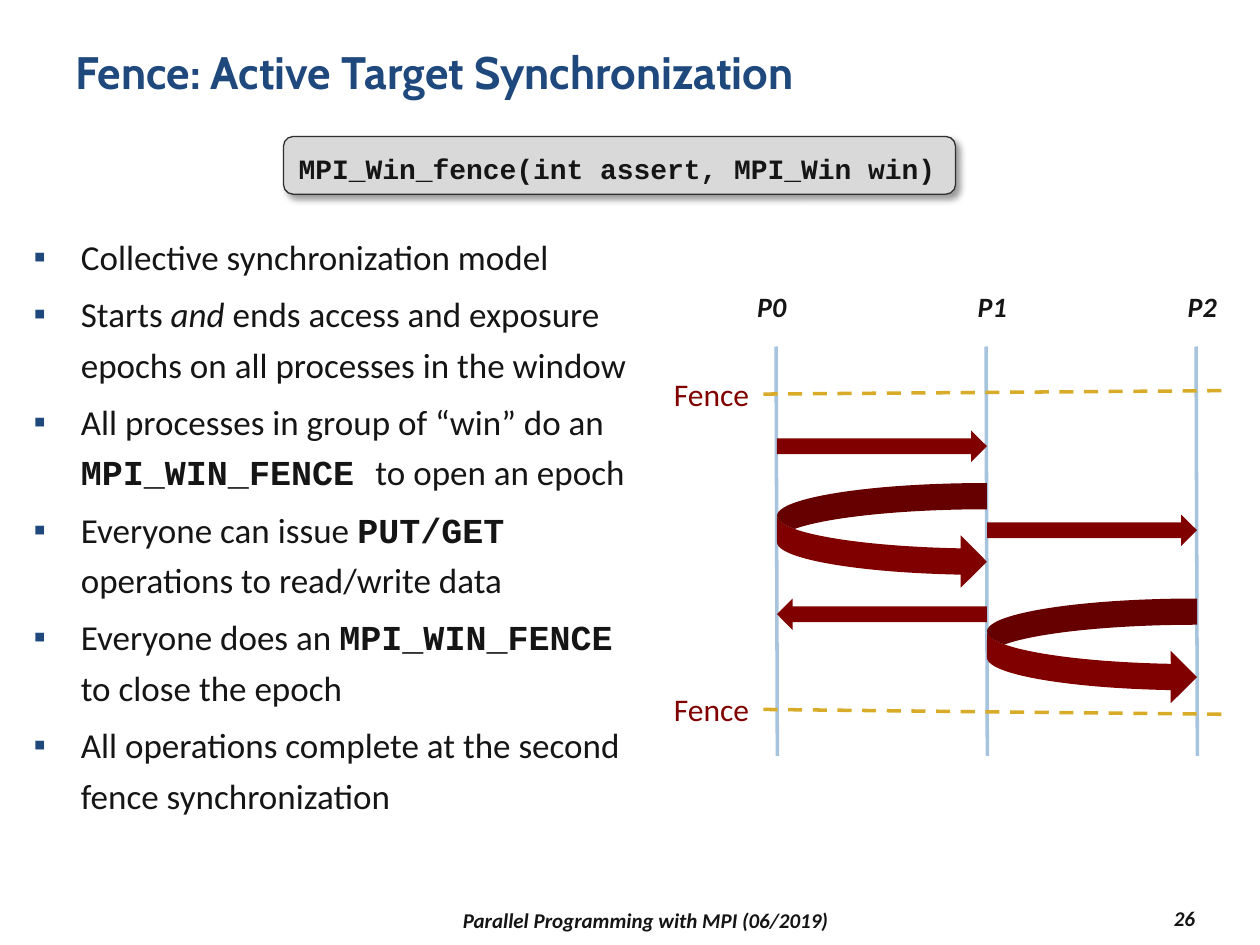
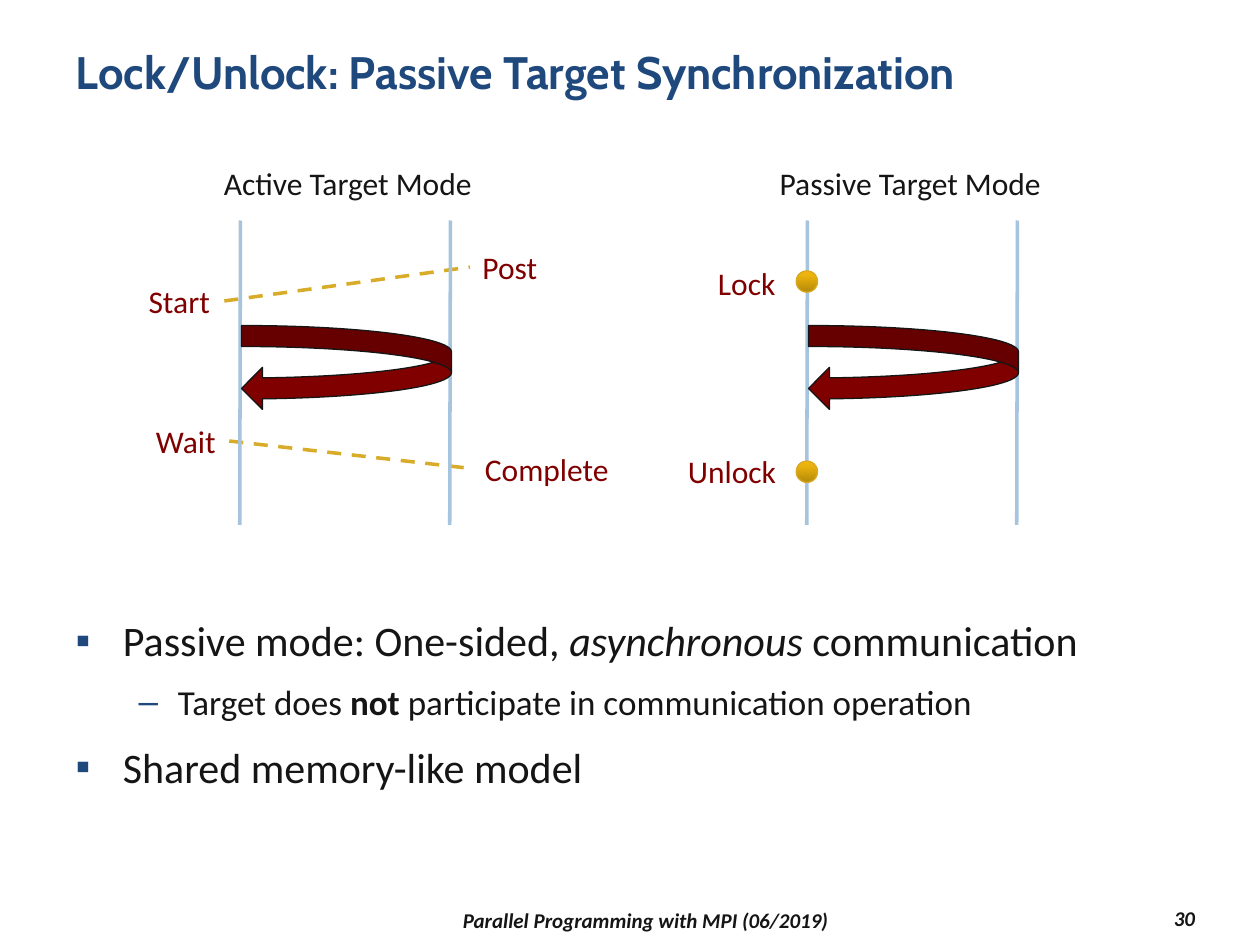
import pptx
import pptx.dml.color
import pptx.enum.dml
import pptx.enum.shapes
import pptx.enum.text
import pptx.oxml
import pptx.oxml.ns
import pptx.util
from lxml import etree

Pt = pptx.util.Pt
RGBColor = pptx.dml.color.RGBColor
SHAPE = pptx.enum.shapes.MSO_SHAPE
ALIGN = pptx.enum.text.PP_ALIGN
ANCHOR = pptx.enum.text.MSO_ANCHOR
qn = pptx.oxml.ns.qn

# Shared look
NAVY = RGBColor(0x1F, 0x49, 0x7D)
INK = RGBColor(0x15, 0x15, 0x15)
MAROON = RGBColor(0x80, 0x00, 0x00)
LANE_BLUE = RGBColor(0xA6, 0xC4, 0xDE)
GOLD = RGBColor(0xD8, 0xAC, 0x28)
DOT_EDGE = RGBColor(0xD8, 0xAA, 0x23)
DOT_STOPS = ((0, RGBColor(0xB5, 0x8A, 0x0A)), (80, RGBColor(0xEB, 0xB3, 0x0D)),
             (100, RGBColor(0xF0, 0xB6, 0x09)))
CODE_FILL = RGBColor(0xD9, 0xD9, 0xD9)
CODE_EDGE = RGBColor(0x30, 0x30, 0x30)
SANS, MONO, HEADING = "Calibri", "Courier New", "Cabin"
FOOTER = "Parallel Programming with MPI (06/2019)"
LANE_GAP = 120
# Per list level: bullet, left margin, hanging indent
BULLETS = (("▪", 27, 27), ("–", 58.5, 22.5))
DRAWING_NS = 'xmlns:a="http://schemas.openxmlformats.org/drawingml/2006/main"'


def style(paragraph, size, color=INK, name=SANS, bold=False, italic=False):
    font = paragraph.font
    font.size, font.name = Pt(size), name
    font.bold, font.italic = bold, italic
    font.color.rgb = color


def place(item, left, top, width, height):
    item.left, item.top = Pt(left), Pt(top)
    item.width, item.height = Pt(width), Pt(height)


def add_label(slide, text, box, size=18, color=MAROON, align=ALIGN.LEFT,
              anchor=ANCHOR.TOP, emphasis=False, wrap=False):
    label = slide.shapes.add_textbox(*map(Pt, box))
    frame = label.text_frame
    frame.word_wrap, frame.vertical_anchor = wrap, anchor
    paragraph = frame.paragraphs[0]
    paragraph.text, paragraph.alignment = text, align
    style(paragraph, size, color, bold=emphasis, italic=emphasis)


def add_line(slide, start, end, color, dashed=False):
    line = slide.shapes.add_connector(
        pptx.enum.shapes.MSO_CONNECTOR.STRAIGHT, *map(Pt, start + end))
    line.line.color.rgb, line.line.width = color, Pt(2)
    if dashed:
        line.line.dash_style = pptx.enum.dml.MSO_LINE.DASH
    etree.SubElement(line._element.spPr, qn("a:effectLst"))


def add_solid(slide, preset, box, fill=MAROON, edge=None):
    solid = slide.shapes.add_shape(preset, *map(Pt, box))
    solid.shadow.inherit = False
    solid.fill.solid()
    solid.fill.fore_color.rgb = fill
    if edge is None:
        solid.line.fill.background()
    else:
        solid.line.color.rgb, solid.line.width = edge, Pt(0.75)
    return solid


def add_lanes(slide, left, top, count, height, lean):
    """Vertical process timelines, each ending `lean` to the side."""
    for lane in range(count):
        x = left + lane * LANE_GAP
        add_line(slide, (x, top), (x + lean, top + height), LANE_BLUE)


def add_bullets(body, box, items):
    """Each item is (level, size, runs); a run is (text, kind)."""
    place(body, *box)
    frame = body.text_frame
    frame.auto_size = pptx.enum.text.MSO_AUTO_SIZE.NONE
    for index, (level, size, runs) in enumerate(items):
        paragraph = frame.add_paragraph() if index else frame.paragraphs[0]
        char, margin, hanging = BULLETS[level]
        paragraph.level = level
        properties = paragraph._p.get_or_add_pPr()
        properties.set("marL", str(Pt(margin)))
        properties.set("indent", str(-Pt(hanging)))
        bullet_color = etree.SubElement(properties, qn("a:buClr"))
        etree.SubElement(bullet_color, qn("a:srgbClr"), val=str(NAVY))
        etree.SubElement(properties, qn("a:buChar"), char=char)
        paragraph.line_spacing = 1.2
        paragraph.space_before = Pt(0.2 * size if index else 0)
        style(paragraph, size)
        for text, kind in runs:
            run = paragraph.add_run()
            run.text = text
            if kind == "italic":
                run.font.italic = True
            elif kind in ("bold", "code"):
                run.font.bold = True
            if kind == "code":
                run.font.name = MONO


def start_slide(deck, title, number):
    """Slide with the common title, footer and page number."""
    slide = deck.slides.add_slide(deck.slide_layouts[1])
    heading = slide.shapes.title
    place(heading, 36, 21.6, 648, 62.6)
    heading.text_frame.vertical_anchor = ANCHOR.TOP
    heading.text_frame.auto_size = pptx.enum.text.MSO_AUTO_SIZE.NONE
    paragraph = heading.text_frame.paragraphs[0]
    paragraph.text, paragraph.alignment = title, ALIGN.LEFT
    style(paragraph, 26, NAVY, HEADING, bold=True)
    for text, box, align in ((FOOTER, (156, 516, 426, 19.5), ALIGN.CENTER),
                             (number, (612, 515, 78, 19.5), ALIGN.RIGHT)):
        add_label(slide, text, box, 12, INK, align, ANCHOR.MIDDLE, True, True)
    return slide


def add_code_box(slide, code, box):
    signature = add_solid(slide, SHAPE.ROUNDED_RECTANGLE, box, CODE_FILL, CODE_EDGE)
    effects = signature._element.spPr.find(qn("a:effectLst"))
    effects.append(pptx.oxml.parse_xml(
        f'<a:outerShdw {DRAWING_NS} blurRad="{Pt(4)}" dist="{Pt(3)}" dir="2700000">'
        '<a:srgbClr val="000000"><a:alpha val="40000"/></a:srgbClr></a:outerShdw>'))
    frame = signature.text_frame
    frame.word_wrap, frame.vertical_anchor = True, ANCHOR.MIDDLE
    paragraph = frame.paragraphs[0]
    paragraph.text, paragraph.alignment = code, ALIGN.LEFT
    paragraph.line_spacing = 1.2
    style(paragraph, 16, name=MONO, bold=True)


def add_fence_diagram(slide, left, top):
    """Three processes exchanging data between two fences."""
    add_lanes(slide, left - 0.5, top, 3, 234, 0.7)
    for name, x in (("P0", -24), ("P1", 102), ("P2", 222)):
        add_label(slide, name, (left + x, top - 36, 42, 26.6), 16, INK,
                  ALIGN.CENTER, emphasis=True, wrap=True)
    for label_y, start_y, end_y in ((13, 27.2, 25.2), (193, 207.4, 210.2)):
        add_label(slide, "Fence", (left - 66, top + label_y, 58.3, 28.8))
        add_line(slide, (left - 7.7, top + start_y), (left + 258, top + end_y),
                 GOLD, dashed=True)
    # Messages: preset, lane on the left, offset down, height
    for preset, lane, y, height in ((SHAPE.RIGHT_ARROW, 0, 48, 18),
                                    (SHAPE.CURVED_RIGHT_ARROW, 0, 78, 60),
                                    (SHAPE.LEFT_ARROW, 0, 144, 18),
                                    (SHAPE.RIGHT_ARROW, 1, 96, 18),
                                    (SHAPE.CURVED_RIGHT_ARROW, 1, 144, 60)):
        add_solid(slide, preset,
                  (left + lane * LANE_GAP, top + y, LANE_GAP, height))


def add_mode_diagram(slide, left, top, mode, mode_x, mode_width, labels):
    """Two lanes, one round trip, a heading and maroon call labels."""
    add_label(slide, mode, (left + mode_x, top - 36, mode_width, 28.8),
              color=INK, align=ALIGN.CENTER)
    add_lanes(slide, left - 0.6, top, 2, 174, -0.4)
    add_solid(slide, SHAPE.CURVED_LEFT_ARROW,
              (left, top + 60, LANE_GAP, 48), edge=INK)
    for text, x, y, width in labels:
        add_label(slide, text, (left + x, top + y, width, 28.8))


def add_active_mode(slide, left, top):
    for start, end in (((-9.8, 46), (130.5, 26.6)), ((-7, 126), (132, 141.8))):
        add_line(slide, (left + start[0], top + start[1]),
                 (left + end[0], top + end[1]), GOLD, dashed=True)
    add_mode_diagram(slide, left, top, "Active Target Mode", -19.2, 159.8, (
        ("Start", -60.2, 31.7, 49.7), ("Post", 130.6, 12.2, 46),
        ("Wait", -56, 111.6, 49), ("Complete", 132, 127.4, 85.7)))


def add_passive_mode(slide, left, top):
    add_mode_diagram(slide, left, top, "Passive Target Mode", -25.7, 167.8, (
        ("Lock", -58.8, 21.6, 47.5), ("Unlock", -76, 128.9, 65.5)))
    for y in (28.8, 137.5):
        dot = add_solid(slide, SHAPE.OVAL, (left - 7, top + y, 12.2, 12.2), edge=DOT_EDGE)
        stops = "".join(f'<a:gs pos="{at * 1000}"><a:srgbClr val="{color}"/></a:gs>'
                        for at, color in DOT_STOPS)
        properties = dot._element.spPr
        properties.replace(properties.find(qn("a:solidFill")), pptx.oxml.parse_xml(
            f'<a:gradFill {DRAWING_NS}><a:gsLst>{stops}</a:gsLst>'
            '<a:lin ang="16200000" scaled="0"/></a:gradFill>'))


def build_fence_slide(deck):
    slide = start_slide(deck, "Fence: Active Target Synchronization", "26")
    add_bullets(slide.placeholders[1], (12, 126, 366, 372), [(0, 20, runs) for runs in (
        [("Collective synchronization model", "")],
        [("Starts ", ""), ("and", "italic"),
         (" ends access and exposure epochs on all processes in the window", "")],
        [("All processes in group of “win” do an ", ""),
         ("MPI_WIN_FENCE ", "code"), ("to open an epoch", "")],
        [("Everyone can issue ", ""), ("PUT/GET", "code"),
         (" operations to read/write data", "")],
        [("Everyone does an ", ""), ("MPI_WIN_FENCE ", "code"),
         ("to close the epoch", "")],
        [("All operations complete at the second fence synchronization", "")],
    )])
    add_code_box(slide, "MPI_Win_fence(int assert, MPI_Win win)", (162, 78, 384, 33))
    add_fence_diagram(slide, 444, 198)


def build_lock_slide(deck):
    slide = start_slide(deck, "Lock/Unlock: Passive Target Synchronization", "30")
    add_bullets(slide.placeholders[1], (36, 342, 648, 156), (
        (0, 24, [("Passive mode: One-sided, ", ""), ("asynchronous", "italic"),
                 (" communication", "")]),
        (1, 20, [("Target does ", ""), ("not ", "bold"),
                 ("participate in communication operation", "")]),
        (0, 24, [("Shared memory-like model", "")]),
    ))
    add_active_mode(slide, 138, 126)
    add_passive_mode(slide, 462, 126)


def main():
    deck = pptx.Presentation()
    deck.slide_width, deck.slide_height = Pt(720), Pt(540)
    build_fence_slide(deck)
    build_lock_slide(deck)
    deck.save("out.pptx")


if __name__ == "__main__":
    main()
